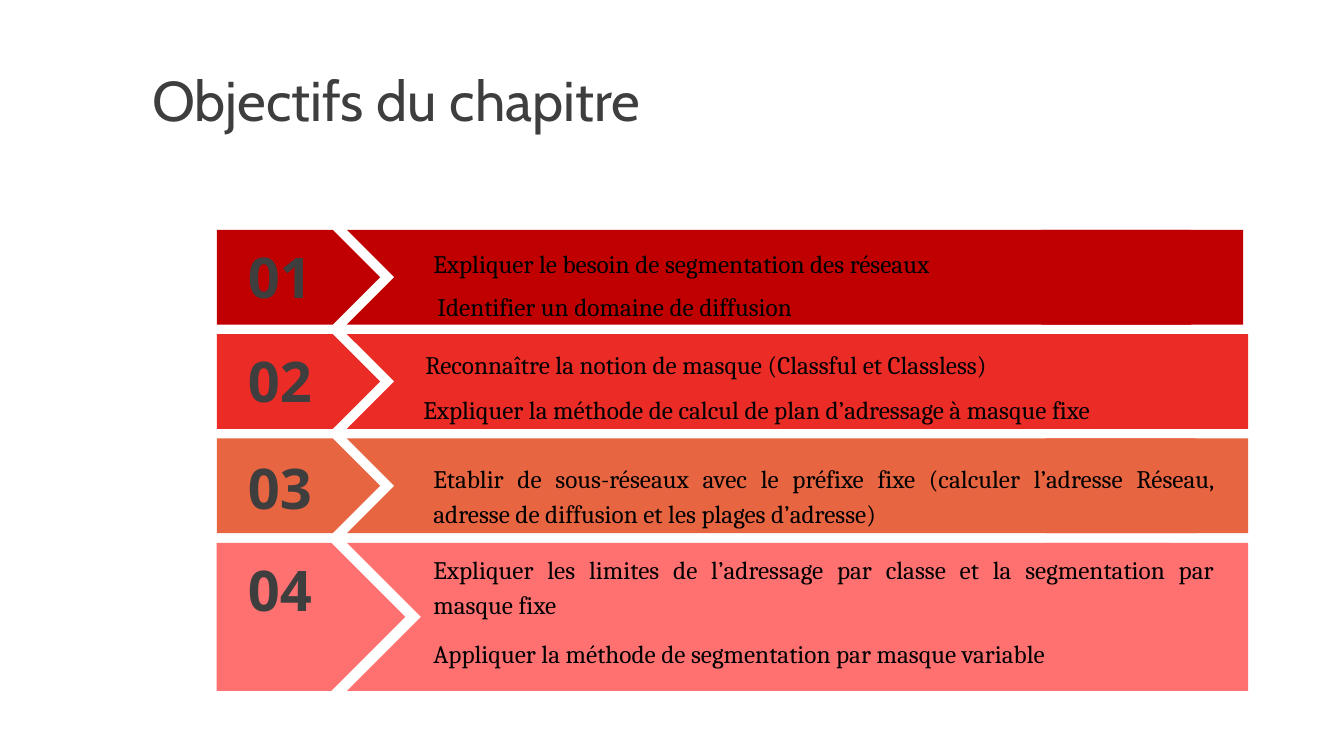
from pptx import Presentation
from pptx.dml.color import RGBColor
from pptx.enum.shapes import MSO_SHAPE as SHAPE
from pptx.enum.text import MSO_ANCHOR as ANCHOR, MSO_AUTO_SIZE as FIT, PP_ALIGN as ALIGN
from pptx.util import Inches, Pt

DARK = RGBColor(0x3E, 0x3E, 0x3E)
BLACK = RGBColor(0, 0, 0)
CRIMSON = RGBColor(0xC0, 0, 0)
RED = RGBColor(0xEA, 0x2B, 0x26)
ORANGE = RGBColor(0xE7, 0x65, 0x41)
PINK = RGBColor(0xFF, 0x71, 0x71)

# Content: number, colour, band height, tag width, chevron end, block left and right,
# number offset, then texts as (left, offset in band, width, height, paragraphs)
TITLE = "Objectifs du chapitre"
BANDS = [
    ("01", CRIMSON, 0.94, 1.62, 12.28, 10.33, 12.33, 0.08, [
        (4.2, 0.09, 6.47, 0.42, ["Expliquer le besoin de segmentation des réseaux"]),
        (4.24, 0.52, 6.28, 0.42, ["Identifier un domaine de diffusion"])]),
    ("02", RED, 0.94, 1.62, 12.33, 10.37, 12.38, 0.07, [
        (4.12, 0.06, 6.56, 0.42, ["Reconnaître la notion de masque (Classful et Classless)"]),
        (4.1, 0.5, 8.04, 0.42,
         ["Expliquer la méthode de calcul de plan d’adressage à masque fixe"])]),
    ("03", ORANGE, 0.94, 1.62, 12.33, 10.37, 12.38, 0.1, [
        (4.2, 0.15, 7.94, 0.77,
         ["Etablir de sous-réseaux avec le préfixe fixe (calculer l’adresse Réseau, "
          "adresse de diffusion et les plages d’adresse)"])]),
    ("04", PINK, 1.47, 1.87, 12.33, 10.37, 12.38, 0.08, [
        (4.2, 0.02, 7.94, 1.24,
         ["Expliquer les limites de l’adressage par classe et la segmentation par masque fixe",
          "Appliquer la méthode de segmentation par masque variable"])]),
]
TOP, GAP = 2.28, 0.095
TAG_LEFT, CHEVRON_LEFT = 2.15, 3.44

prs = Presentation()
prs.slide_width, prs.slide_height = Inches(13.33), Inches(7.5)
s = prs.slides.add_slide(prs.slide_layouts[6])


def add_block(shapes, kind, left, top, width, height, color):
    sp = shapes.add_shape(kind, *map(Inches, (left, top, width, height)))
    sp.shadow.inherit = False
    sp.fill.solid()
    sp.fill.fore_color.rgb = color
    sp.line.fill.background()


def add_text(box, paragraphs, font, size, color, align, spacing=None, after=None,
             bold=False, anchor=ANCHOR.TOP, fit=FIT.SHAPE_TO_FIT_TEXT):
    tf = s.shapes.add_textbox(*map(Inches, box)).text_frame
    tf.word_wrap, tf.auto_size, tf.vertical_anchor = True, fit, anchor
    tf.text = "\n".join(paragraphs)
    for p in tf.paragraphs:
        p.alignment, p.line_spacing = align, spacing
        if after:
            p.space_after = Pt(after)
        for r in p.runs:
            r.font.name, r.font.size, r.font.bold = font, Pt(size), bold
            r.font.color.rgb = color


# Title
add_text((1.41, 0.4, 9, 1.25), [TITLE], "Cabin", 40, DARK, ALIGN.LEFT, spacing=0.9,
         anchor=ANCHOR.MIDDLE, fit=FIT.NONE)

# Bands: tag, chevron squared off by a block, number, objectives
top = TOP
for number, color, height, tag, tip, left, right, drop, texts in BANDS:
    add_block(s.shapes, SHAPE.PENTAGON, TAG_LEFT, top, tag, height, color)
    bar = s.shapes.add_group_shape().shapes
    add_block(bar, SHAPE.CHEVRON, CHEVRON_LEFT, top, tip - CHEVRON_LEFT, height, color)
    add_block(bar, SHAPE.RECTANGLE, left, top, right - left, height, color)
    add_text((2.22, top + drop, 1.11, 0.77), [number], "Open Sans", 40, DARK,
             ALIGN.CENTER, bold=True)
    for x, offset, w, h, paragraphs in texts:
        add_text((x, top + offset, w, h), paragraphs, "Cambria", 18, BLACK,
                 ALIGN.JUSTIFY, spacing=1.15, after=10)
    top += height + GAP

prs.save("out.pptx")
